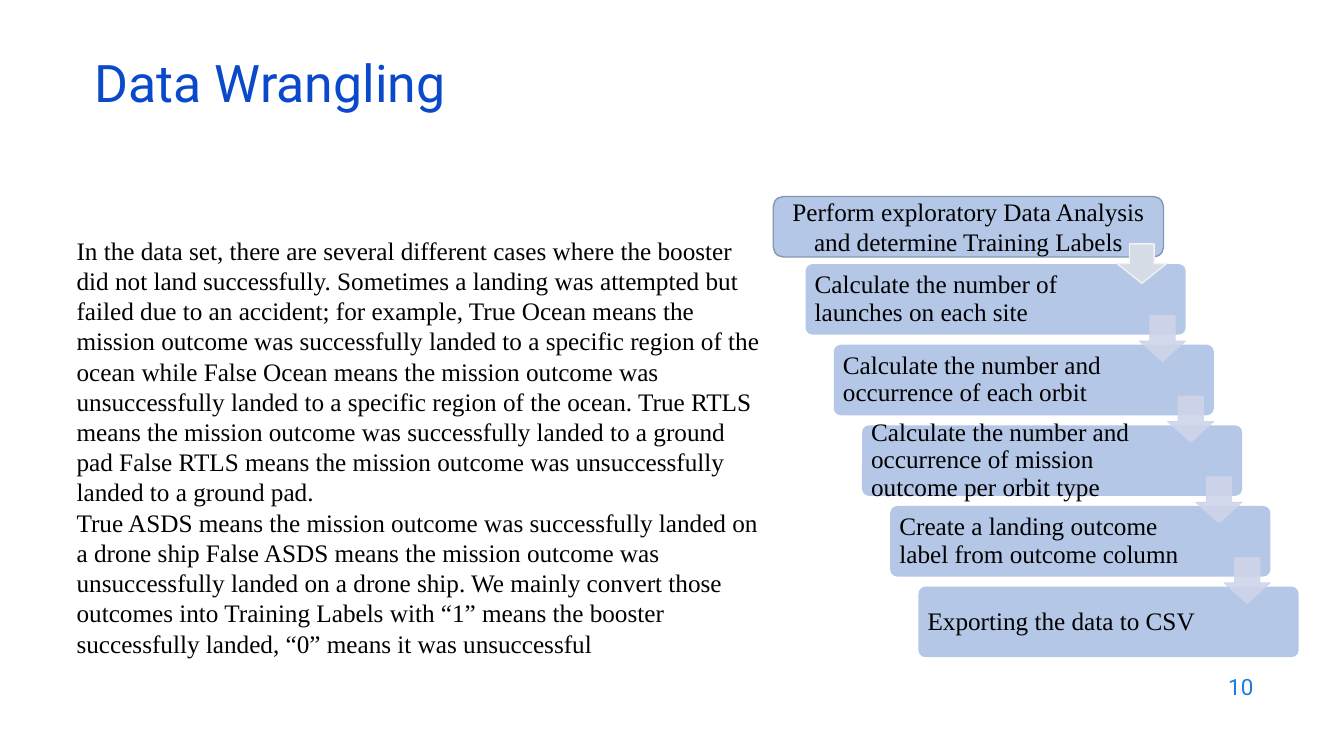
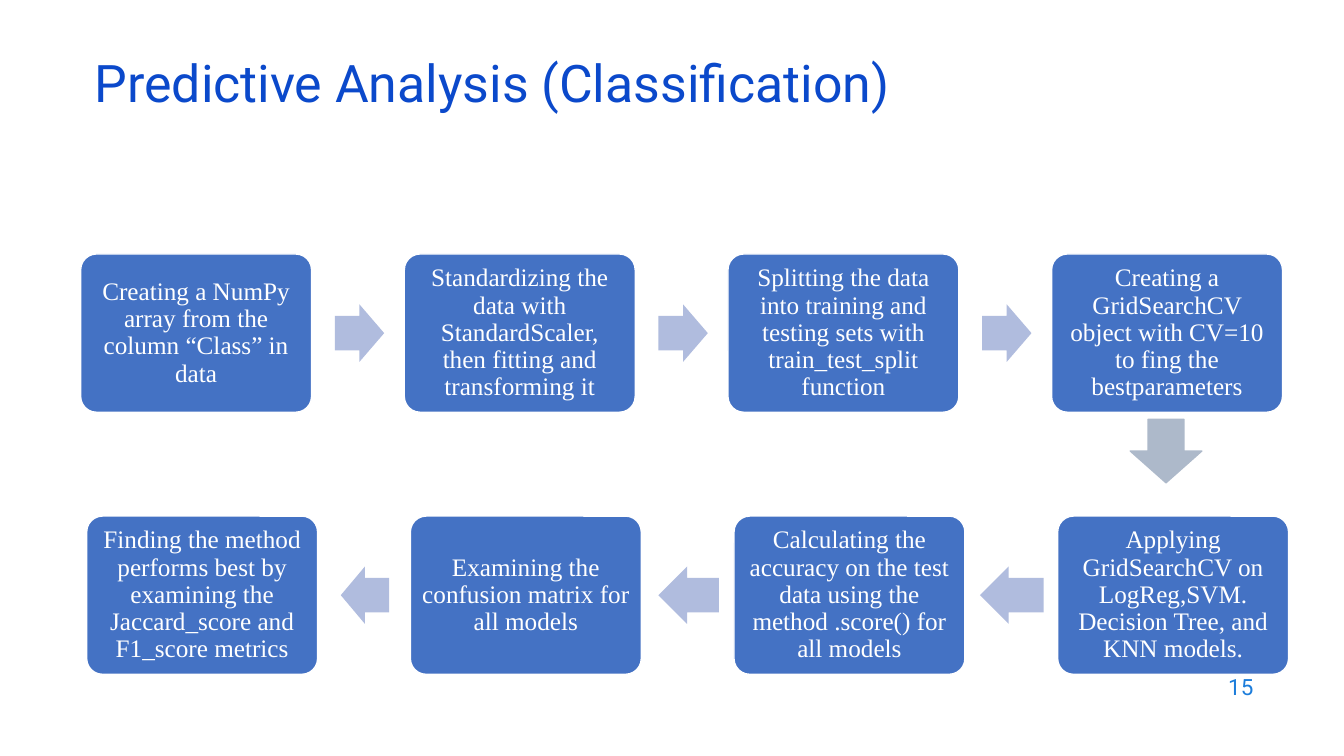
from dataclasses import dataclass

from lxml import etree
from pptx import Presentation
from pptx.dml.color import RGBColor
from pptx.enum.shapes import MSO_SHAPE
from pptx.enum.text import MSO_ANCHOR, MSO_AUTO_SIZE, PP_ALIGN
from pptx.oxml.ns import qn
from pptx.util import Inches, Pt

ROUND = MSO_SHAPE.ROUNDED_RECTANGLE
DOWN = MSO_SHAPE.DOWN_ARROW
RIGHT = MSO_SHAPE.RIGHT_ARROW
BACK = MSO_SHAPE.LEFT_ARROW
TOP, MID = MSO_ANCHOR.TOP, MSO_ANCHOR.MIDDLE
START, CENTER, END = PP_ALIGN.LEFT, PP_ALIGN.CENTER, PP_ALIGN.RIGHT
FIXED = MSO_AUTO_SIZE.NONE


@dataclass(frozen=True)
class Theme:
    head: str = "Roboto"
    serif: str = "Times New Roman"
    big: int = 37
    text: int = 18
    small: int = 16
    title: str = "0B49CB"
    number: str = "1C7DDB"
    black: str = "000000"
    white: str = "FFFFFF"
    pale: str = "B4C7E7"
    edge: str = "8497B0"
    blue: str = "4472C4"
    link: str = "B0BCDE"
    mist: str = "CFD5EA"
    gray: str = "D6DCE5"
    light: str = "F2F2F2"
    steel: str = "ADB9CA"


T = Theme()

# Wording
CASES = [
    "In the data set, there are several different cases where the booster did "
    "not land successfully. Sometimes a landing was attempted but failed due to "
    "an accident; for example, True Ocean means the mission outcome was "
    "successfully landed to a specific region of the ocean while False Ocean "
    "means the mission outcome was unsuccessfully landed to a specific region "
    "of the ocean. True RTLS means the mission outcome was successfully landed "
    "to a ground pad False RTLS means the mission outcome was unsuccessfully "
    "landed to a ground pad.",
    "True ASDS means the mission outcome was successfully landed on a drone "
    "ship False ASDS means the mission outcome was unsuccessfully landed on a "
    "drone ship. We mainly convert those outcomes into Training Labels with "
    "“1” means the booster successfully landed, “0” means it was unsuccessful",
]
FIRST = "Perform exploratory Data Analysis and determine Training Labels"
STEPS = [
    "Calculate the number of launches on each site",
    "Calculate the number and occurrence of each orbit",
    "Calculate the number and occurrence of mission outcome per orbit type",
    "Create a landing outcome label from outcome column",
    "Exporting the data to CSV",
]
UPPER = [
    "Creating a NumPy array from the column “Class” in data",
    "Standardizing the data with StandardScaler, then fitting and transforming it",
    "Splitting the data into training and testing sets with train_test_split function",
    "Creating a GridSearchCV object with CV=10 to fing the bestparameters",
]
LOWER = [
    "Finding the method performs best by examining the Jaccard_score and F1_score metrics",
    "Examining the confusion matrix for all models",
    "Calculating the accuracy on the test data using the method .score() for all models",
    "Applying GridSearchCV on LogReg,SVM. Decision Tree, and KNN models.",
]


def color(code):
    return RGBColor.from_string(code)


def write(shape, *lines, size=T.text, font=T.serif, ink=T.black, align=START,
          anchor=MID, space=1.0, inset=(0.1, 0.05, 0.1, 0.05)):
    """Fill a shape with formatted paragraphs; inset is left, top, right, bottom."""
    frame = shape.text_frame
    frame.word_wrap = True
    frame.auto_size = FIXED
    frame.vertical_anchor = anchor
    (frame.margin_left, frame.margin_top,
     frame.margin_right, frame.margin_bottom) = map(Inches, inset)
    for i, line in enumerate(lines):
        para = frame.add_paragraph() if i else frame.paragraphs[0]
        props = para._p.get_or_add_pPr()
        props.set("marL", "0")
        props.set("indent", "0")
        etree.SubElement(props, qn("a:buNone"))
        para.alignment = align
        para.line_spacing = space
        para.space_before = para.space_after = Pt(0)
        run = para.add_run()
        run.text = line
        run.font.size = Pt(size)
        run.font.name = font
        run.font.color.rgb = color(ink)


def place(shape, *area):
    shape.left, shape.top, shape.width, shape.height = map(Inches, area)
    return shape


def draw(slide, kind, *area, fill, line=None, width=1, adj=(), alpha=None):
    """Add a preset shape; alpha is the opacity in percent."""
    shape = slide.shapes.add_shape(kind, *map(Inches, area))
    shape.shadow.inherit = False
    shape.fill.solid()
    shape.fill.fore_color.rgb = color(fill)
    if line:
        shape.line.color.rgb = color(line)
        shape.line.width = Pt(width)
    else:
        shape.line.fill.background()
    for i, value in enumerate(adj):
        shape.adjustments[i] = value
    if alpha:
        for code in shape._element.spPr.iter(qn("a:srgbClr")):
            etree.SubElement(code, qn("a:alpha"), val=str(alpha * 1000))
    return shape


def start(deck, layout, title, number):
    """Add a slide with the shared title and page number."""
    slide = deck.slides.add_slide(deck.slide_layouts[layout])
    write(place(slide.shapes.title, 0.84, 0.59, 11.5, 0.6), title,
          size=T.big, font=T.head, ink=T.title, space=0.7)
    box = slide.shapes.add_textbox(*map(Inches, (9.53, 6.59, 3, 0.44)))
    write(box, number, size=T.small, font=T.head, ink=T.number, align=END)
    return slide


def card(slide, text, x, y):
    box = draw(slide, ROUND, x, y, 2.29, 1.57, fill=T.blue, line=T.white, adj=[0.1])
    write(box, text, ink=T.white, align=CENTER, space=0.9, inset=[0.07] * 4)


def link(slide, kind, x, y, width):
    draw(slide, kind, x, y, width, 0.57, fill=T.link, adj=[0.6, 0.5])


def wrangle(deck):
    slide = start(deck, 1, "Data Wrangling", "10")
    write(place(slide.placeholders[1], 0.66, 2.28, 7.01, 4.83), *CASES, anchor=TOP)

    # Staircase of steps
    shift, drop = 0.28, 0.8
    for i, text in enumerate(STEPS):
        box = draw(slide, ROUND, 7.99 + shift * i, 2.62 + drop * i, 3.77, 0.7,
                   fill=T.pale, adj=[0.1])
        write(box, text, space=0.9, inset=(0.07, 0.07, 0.81, 0.07))
    for i in range(len(STEPS) - 1):
        draw(slide, DOWN, 11.3 + shift * i, 3.13 + drop * i, 0.46, 0.46,
             fill=T.mist, line=T.mist, width=0.5, adj=[0.55, 0.45], alpha=90)

    # Opening step
    box = draw(slide, ROUND, 7.67, 1.95, 3.87, 0.6, fill=T.pale, line=T.edge)
    write(box, FIRST, align=CENTER)
    draw(slide, DOWN, 11.08, 2.42, 0.49, 0.39, fill=T.gray, line=T.light)


def predict(deck):
    slide = start(deck, 5, "Predictive Analysis (Classification)", "15")
    pitch = 3.21

    # Upper row, read to the right
    for i, text in enumerate(UPPER):
        card(slide, text, 0.8 + pitch * i, 2.52)
        if i:
            link(slide, RIGHT, 0.11 + pitch * i, 3.02, 0.49)

    # Lower row, read to the left
    for i, text in enumerate(LOWER):
        card(slide, text, 0.86 + pitch * i, 5.12)
    for x, width in [(3.38, 0.48), (6.53, 0.6), (9.72, 0.63)]:
        link(slide, BACK, x, 5.62, width)

    # Turn between the rows
    draw(slide, DOWN, 11.21, 4.16, 0.71, 0.63, fill=T.steel, line=T.steel)


def main():
    deck = Presentation()
    deck.slide_width, deck.slide_height = Inches(13.33), Inches(7.5)
    wrangle(deck)
    predict(deck)
    deck.save("out.pptx")


if __name__ == "__main__":
    main()
